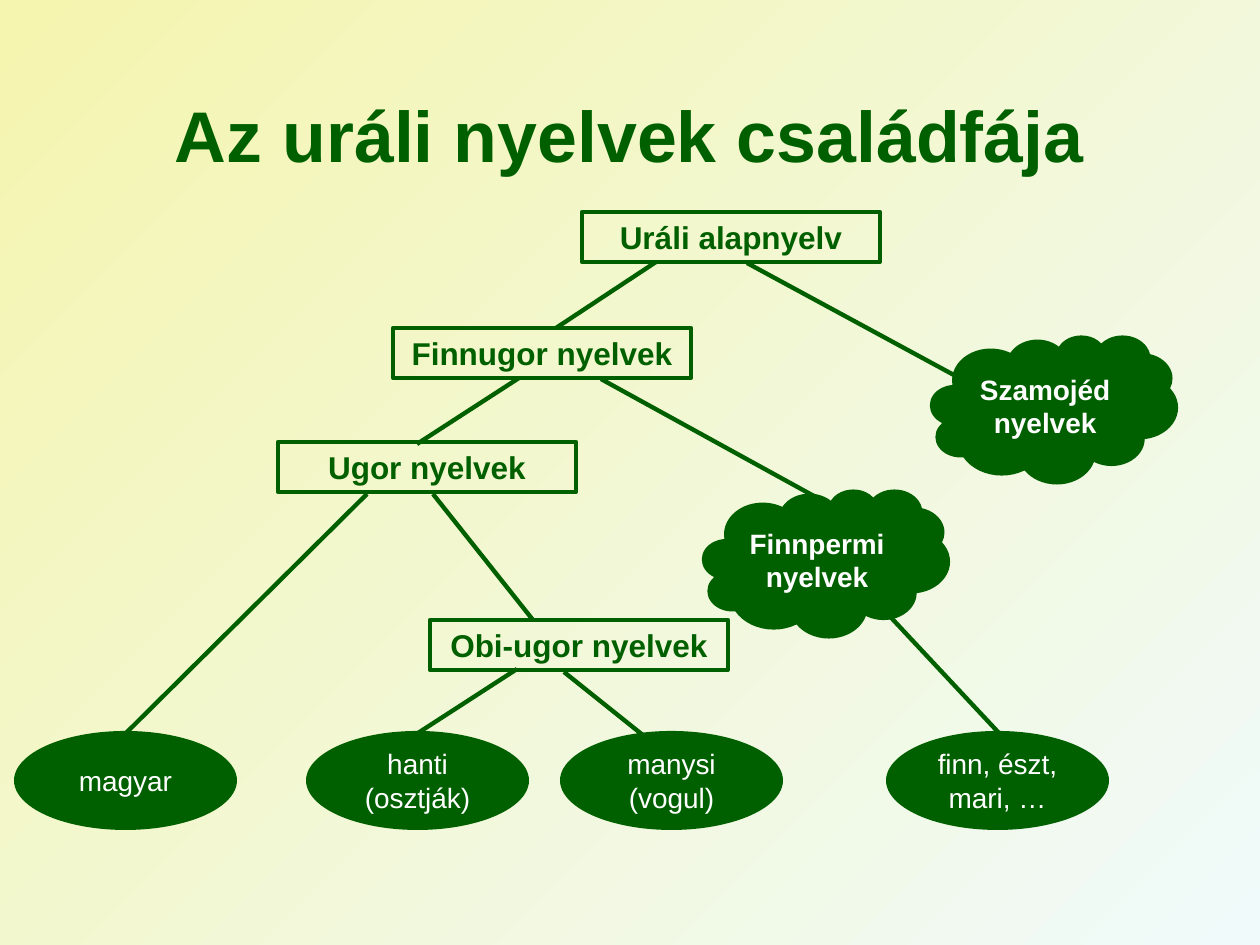
from pptx import Presentation, util as u
from pptx.dml.color import RGBColor
from pptx.enum import shapes, text
from pptx.oxml.ns import qn
from lxml import etree

SCALE = 914400 / 126
COLOURS = {"green": "006000", "white": "FFFFFF", "yellow": "F5F5AF", "ice": "F0FAFA"}
KINDS = {
    "branch": (shapes.MSO_SHAPE.RECTANGLE, 298, 50, 18, True),
    "group": (shapes.MSO_SHAPE.CLOUD, 248, 149, 16, True),
    "language": (shapes.MSO_SHAPE.OVAL, 223, 99, 16, False),
}
LANGUAGE_TOP = 731
LINKS = [
    (883, 609, 1013, 748), (656, 262, 556, 328), (747, 263, 989, 394),
    (601, 379, 843, 512), (519, 378, 417, 444), (367, 494, 113, 746),
    (433, 494, 533, 620), (517, 669, 415, 735), (564, 672, 659, 748),
]
NODES = [
    ("branch", 582, 212, "Uráli alapnyelv"),
    ("branch", 393, 328, "Finnugor nyelvek"),
    ("branch", 278, 442, "Ugor nyelvek"),
    ("branch", 430, 620, "Obi-ugor nyelvek"),
    ("group", 930, 335, "Szamojéd nyelvek"),
    ("group", 702, 489, "Finnpermi\vnyelvek"),
    ("language", 14, LANGUAGE_TOP, "magyar"),
    ("language", 306, LANGUAGE_TOP, "hanti (osztják)"),
    ("language", 560, LANGUAGE_TOP, "manysi (vogul)"),
    ("language", 886, LANGUAGE_TOP, "finn, észt, mari, …"),
]


def px(*lengths):
    """Turn pixels into EMU."""
    return [u.Emu(round(length * SCALE)) for length in lengths]


def colour(name):
    """Look up a named colour."""
    return RGBColor.from_string(COLOURS[name])


def write(box, words, size, bold, ink):
    """Put one centred paragraph in a shape."""
    frame = box.text_frame
    frame.word_wrap = True
    frame.auto_size = text.MSO_AUTO_SIZE.NONE
    frame.vertical_anchor = text.MSO_ANCHOR.MIDDLE
    frame.text = words
    para = frame.paragraphs[0]
    para.alignment = text.PP_ALIGN.CENTER
    para.font.name = "Arial"
    para.font.size = u.Pt(size)
    para.font.bold = bold
    para.font.color.rgb = colour(ink)
    return para


def paint_background(page):
    """Fill the page with a diagonal gradient."""
    fill = page.background.fill
    fill.gradient()
    fill.gradient_angle = 315
    for stop, name, position in zip(fill.gradient_stops, ("yellow", "ice"), (0.01, 1)):
        stop.color.rgb = colour(name)
        stop.position = position


def add_title(page, words):
    """Place and format the title."""
    title = page.shapes.title
    title.left, title.top, title.width, title.height = px(87, 48, 1086, 183)
    write(title, words, 41, True, "green").line_spacing = 0.9


def set_outline(line):
    """Give a line the tree's stroke."""
    line.color.rgb = colour("green")
    line.width = u.Pt(2.5)


def add_link(page, ends):
    """Draw a straight line between two levels."""
    link = page.shapes.add_connector(shapes.MSO_CONNECTOR.STRAIGHT, *px(*ends))
    set_outline(link.line)
    etree.SubElement(link._element.spPr, qn("a:effectLst"))


def add_node(page, kind, left, top, words):
    """Draw one labelled node of the tree."""
    preset, width, height, size, bold = KINDS[kind]
    box = page.shapes.add_shape(preset, *px(left, top, width, height))
    box.shadow.inherit = False
    if kind == "branch":
        box.fill.background()
        set_outline(box.line)
    else:
        box.fill.solid()
        box.fill.fore_color.rgb = colour("green")
        box.line.fill.background()
    write(box, words, size, bold, "green" if kind == "branch" else "white")


def main():
    """Build the family tree slide."""
    deck = Presentation()
    deck.slide_width, deck.slide_height = px(1260, 945)
    page = deck.slides.add_slide(deck.slide_layouts[5])
    paint_background(page)
    add_title(page, "Az uráli nyelvek családfája")
    for ends in LINKS:
        add_link(page, ends)
    for node in NODES:
        add_node(page, *node)
    deck.save("out.pptx")


main()
